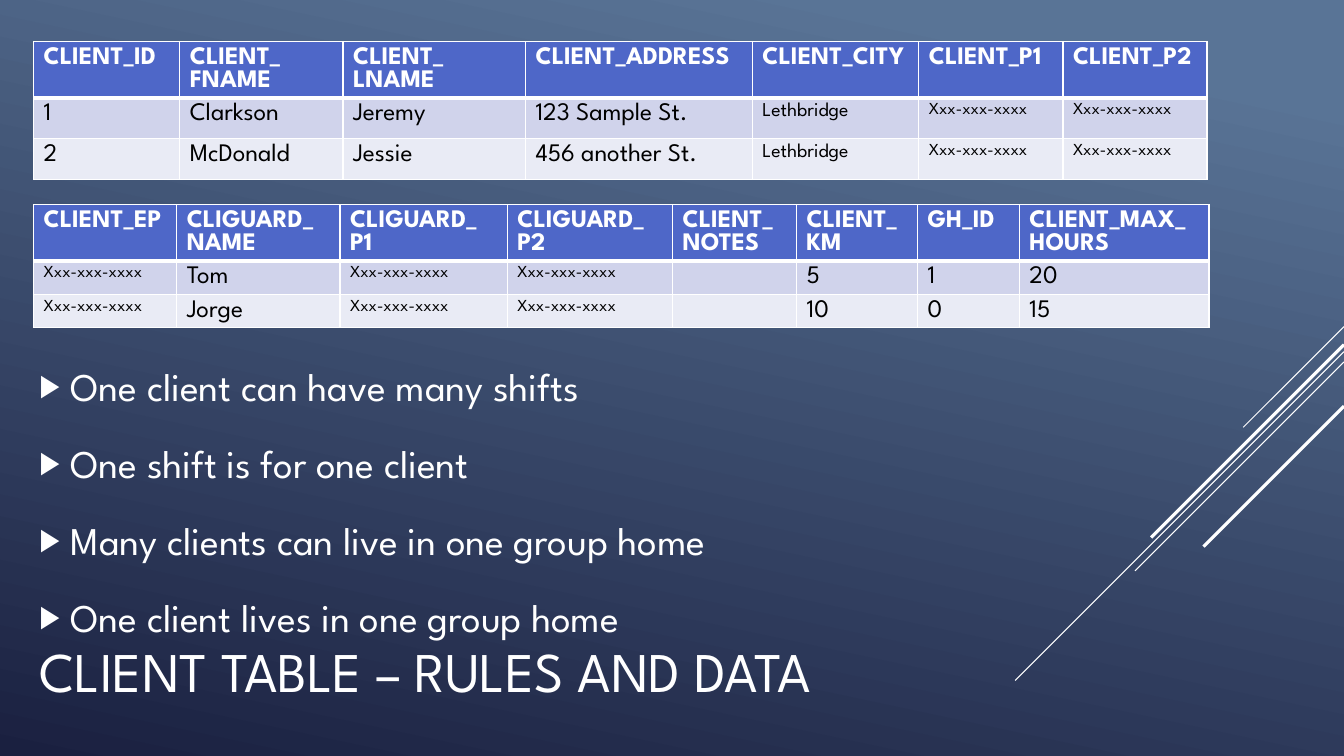
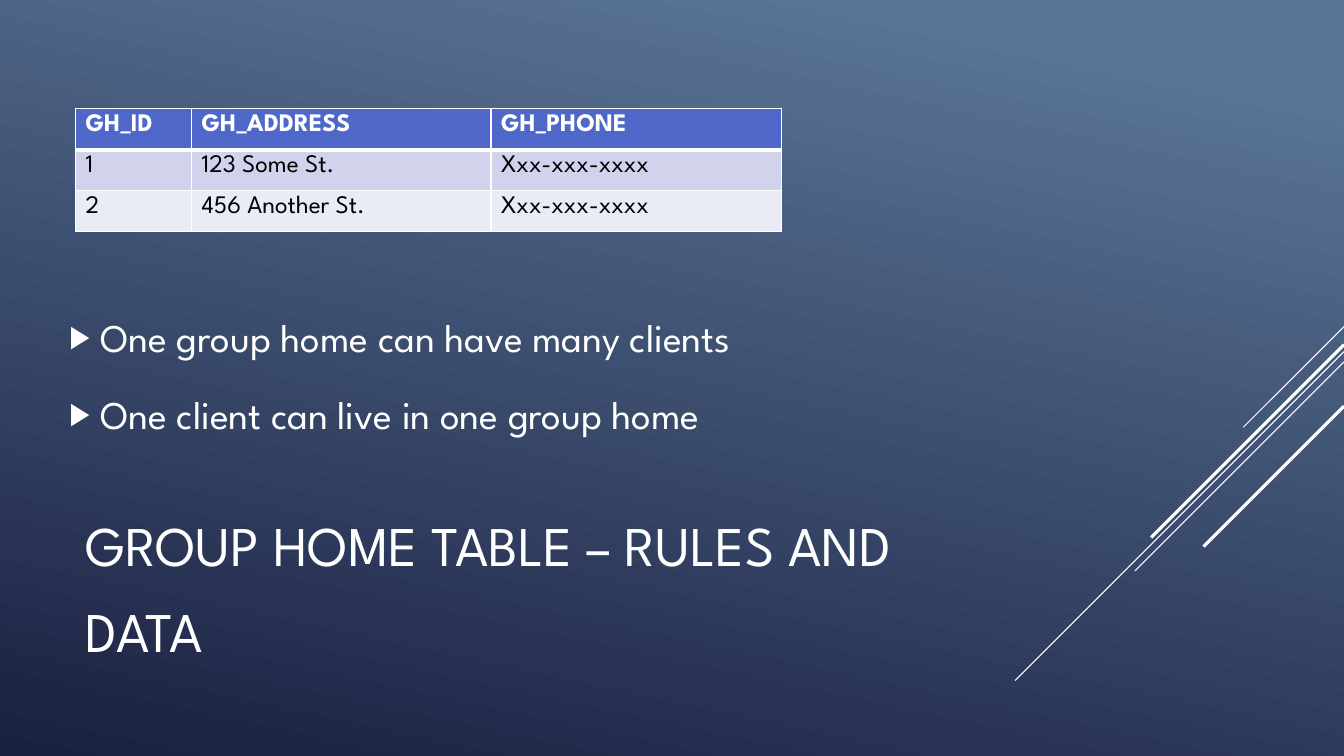
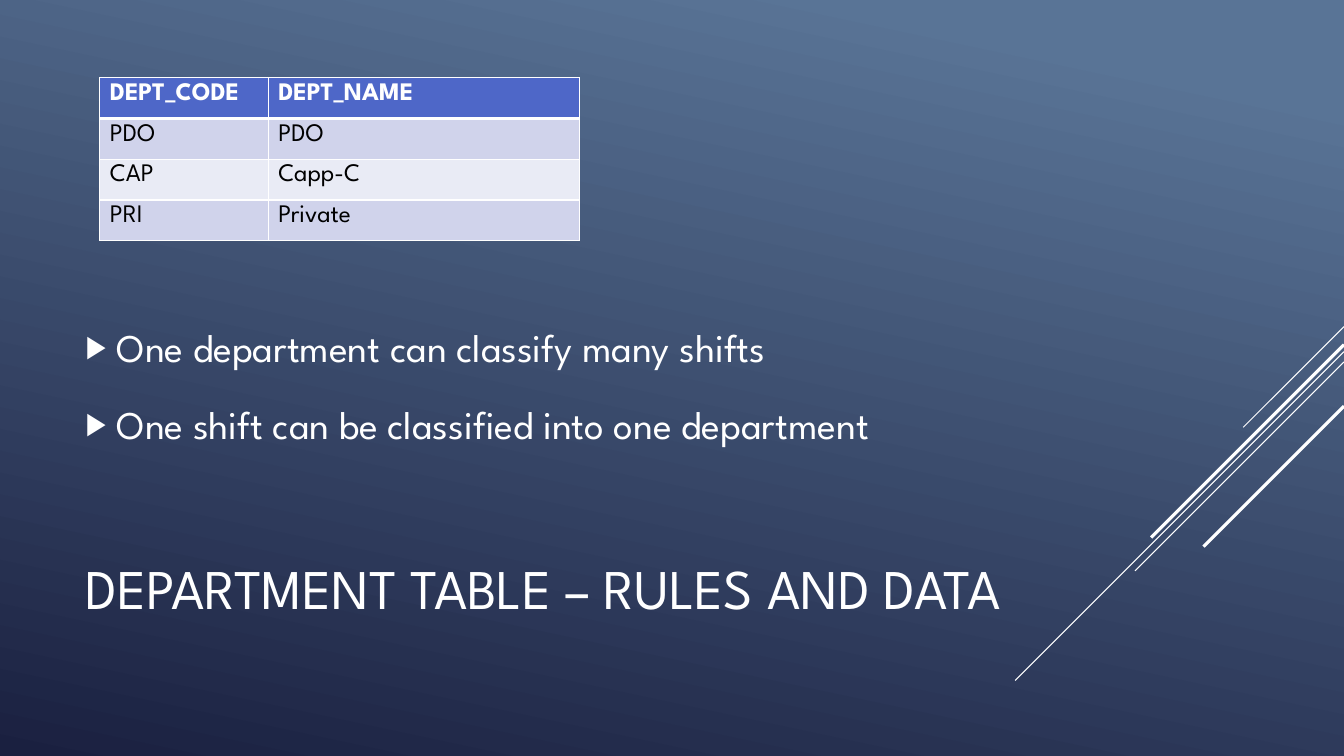
from lxml.etree import SubElement
from pptx import Presentation
from pptx.dml.color import RGBColor
from pptx.enum.shapes import MSO_CONNECTOR
from pptx.enum.text import MSO_ANCHOR
from pptx.oxml.ns import qn
from pptx.util import Inches, Pt

FONT = "League Spartan"
WHITE, BLACK, HEAD = "FFFFFF", "000000", "4E67C8"
BANDS = ["D0D3EB", "E9EBF5"]
PHONE = "Xxx-xxx-xxxx"
STRIPES = [
    (43.2, 7.5, 0.75),
    (46.53, 24.47, 0.75),
    (47.87, 15.55, 0.75),
    (45.6, 14.35, 2.25),
    (53.73, 10.45, 2.25),
]

deck = Presentation()
deck.slide_width, deck.slide_height = Inches(13.33), Inches(7.5)
COL, ROW = deck.slide_width / 100, deck.slide_height / 100


def hue(code):
    return RGBColor.from_string(code)


def style(font, size, code, bold=False):
    font.name, font.size, font.bold = FONT, Pt(size), bold
    font.color.rgb = hue(code)


PAGES = [
    {
        "title": ("CLIENT TABLE – RULES AND DATA", (2.2, 76.4, 70, 22)),
        "rules": ([
            "One client can have many shifts",
            "One shift is for one client",
            "Many clients can live in one group home",
            "One client lives in one group home",
        ], (2.2, 46.4, 70, 38.13)),
        "tables": [
            {
                "spot": (2.5, 5.47),
                "cols": [10.88, 12.15, 13.58, 16.88, 12.38, 10.73, 10.73],
                "rows": [5.4, 5.4, 5.4],
                "small": {"Lethbridge": 14, PHONE: 12},
                "data": [
                    ["CLIENT_ID", "CLIENT_\nFNAME", "CLIENT_\nLNAME", "CLIENT_ADDRESS",
                     "CLIENT_CITY", "CLIENT_P1", "CLIENT_P2"],
                    ["1", "Clarkson", "Jeremy", "123 Sample St.", "Lethbridge", PHONE, PHONE],
                    ["2", "McDonald", "Jessie", "456 another St.", "Lethbridge", PHONE, PHONE],
                ],
            },
            {
                "spot": (2.5, 27.07),
                "cols": [10.65, 12.15, 12.45, 12.3, 9.23, 9, 7.58, 14.1],
                "rows": [5.33, 4.4, 4.4],
                "small": {PHONE: 12, "": 12},
                "data": [
                    ["CLIENT_EP", "CLIGUARD_\nNAME", "CLIGUARD_\nP1", "CLIGUARD_\nP2",
                     "CLIENT_NOTES", "CLIENT_\nKM", "GH_ID", "CLIENT_MAX_\nHOURS"],
                    [PHONE, "Tom", PHONE, PHONE, "", "5", "1", "20"],
                    [PHONE, "Jorge", PHONE, PHONE, "", "10", "0", "15"],
                ],
            },
        ],
    },
    {
        "title": ("GROUP HOME TABLE – RULES AND DATA", (5.63, 65.47, 70, 22)),
        "rules": ([
            "One group home can have many clients",
            "One client can live in one group home",
        ], (4.43, 22.4, 70, 52.67)),
        "tables": [{
            "spot": (5.63, 14.4),
            "cols": [8.63, 22.28, 21.6],
            "rows": [5.4, 5.4, 5.4],
            "small": {},
            "data": [
                ["GH_ID", "GH_ADDRESS", "GH_PHONE"],
                ["1", "123 Some St.", PHONE],
                ["2", "456 Another St.", PHONE],
            ],
        }],
    },
    {
        "title": ("DEPARTMENT TABLE – RULES AND DATA", (5.63, 65.47, 70, 22)),
        "rules": ([
            "One department can classify many shifts",
            "One shift can be classified into one department",
        ], (5.63, 23.73, 81.1, 52.67)),
        "tables": [{
            "spot": (7.43, 10.27),
            "cols": [12.53, 23.18],
            "rows": [5.4, 5.4, 5.4, 5.4],
            "small": {},
            "data": [
                ["DEPT_CODE", "DEPT_NAME"],
                ["PDO", "PDO"],
                ["CAP", "Capp-C"],
                ["PRI", "Private"],
            ],
        }],
    },
]

back = deck.slide_master.background.fill
back.gradient()
back.gradient_angle = 258
for stop, place, code in zip(back.gradient_stops, [0.1, 1], ["597496", "1A2040"]):
    stop.position, stop.color.rgb = place, hue(code)

for page in PAGES:
    slide = deck.slides.add_slide(deck.slide_layouts[6])
    shapes = slide.shapes

    for top, reach, weight in STRIPES:
        edge, start, run = deck.slide_width, int(top * ROW), int(reach * COL)
        line = shapes.add_connector(MSO_CONNECTOR.STRAIGHT, edge, start, edge - run, start + run)
        line.line.color.rgb, line.line.width = hue(WHITE), Pt(weight)
        SubElement(line._element.spPr, qn("a:effectLst"))

    for item in page["tables"]:
        left, top = item["spot"]
        data, cols, rows = item["data"], item["cols"], item["rows"]
        grid = shapes.add_table(
            len(rows), len(cols), int(left * COL), int(top * ROW),
            int(sum(cols) * COL), int(sum(rows) * ROW),
        ).table
        for part, share in zip(grid.columns, cols):
            part.width = int(share * COL)
        for part, share in zip(grid.rows, rows):
            part.height = int(share * ROW)
        for r, texts in enumerate(data):
            for c, text in enumerate(texts):
                cell = grid.cell(r, c)
                cell.text = text
                for para in cell.text_frame.paragraphs:
                    style(para.font, item["small"].get(text, 18), BLACK if r else WHITE, r == 0)
                props = cell._tc.get_or_add_tcPr()
                for side in ["lnL", "lnR", "lnT", "lnB"]:
                    thick = (r, side) in [(0, "lnB"), (1, "lnT")]
                    rim = SubElement(props, qn("a:" + side), w=str(Pt(3 if thick else 1)))
                    SubElement(SubElement(rim, qn("a:solidFill")), qn("a:srgbClr"), val=WHITE)
                cell.fill.solid()
                cell.fill.fore_color.rgb = hue(BANDS[(r - 1) % 2] if r else HEAD)

    title, spot = page["title"]
    rules, area = page["rules"]
    for lines, (left, top, width, height), size in [([title], spot, 40), (rules, area, 28)]:
        frame = shapes.add_textbox(
            int(left * COL), int(top * ROW), int(width * COL), int(height * ROW)
        ).text_frame
        frame.word_wrap, frame.vertical_anchor = True, MSO_ANCHOR.MIDDLE
        frame.text = "\n".join(lines)
        for para in frame.paragraphs:
            para.line_spacing = 1.28
            if lines is rules:
                para.space_before = para.space_after = Pt(6)
                props = para._p.get_or_add_pPr()
                props.set("marL", str(Inches(0.31)))
                props.set("indent", str(-Inches(0.31)))
                SubElement(SubElement(props, qn("a:buClr")), qn("a:srgbClr"), val=WHITE)
                SubElement(props, qn("a:buSzPct"), val="80000")
                SubElement(props, qn("a:buFont"), typeface="Arial")
                SubElement(props, qn("a:buChar"), char="▶")
            style(para.font, size, WHITE)

deck.save("out.pptx")
